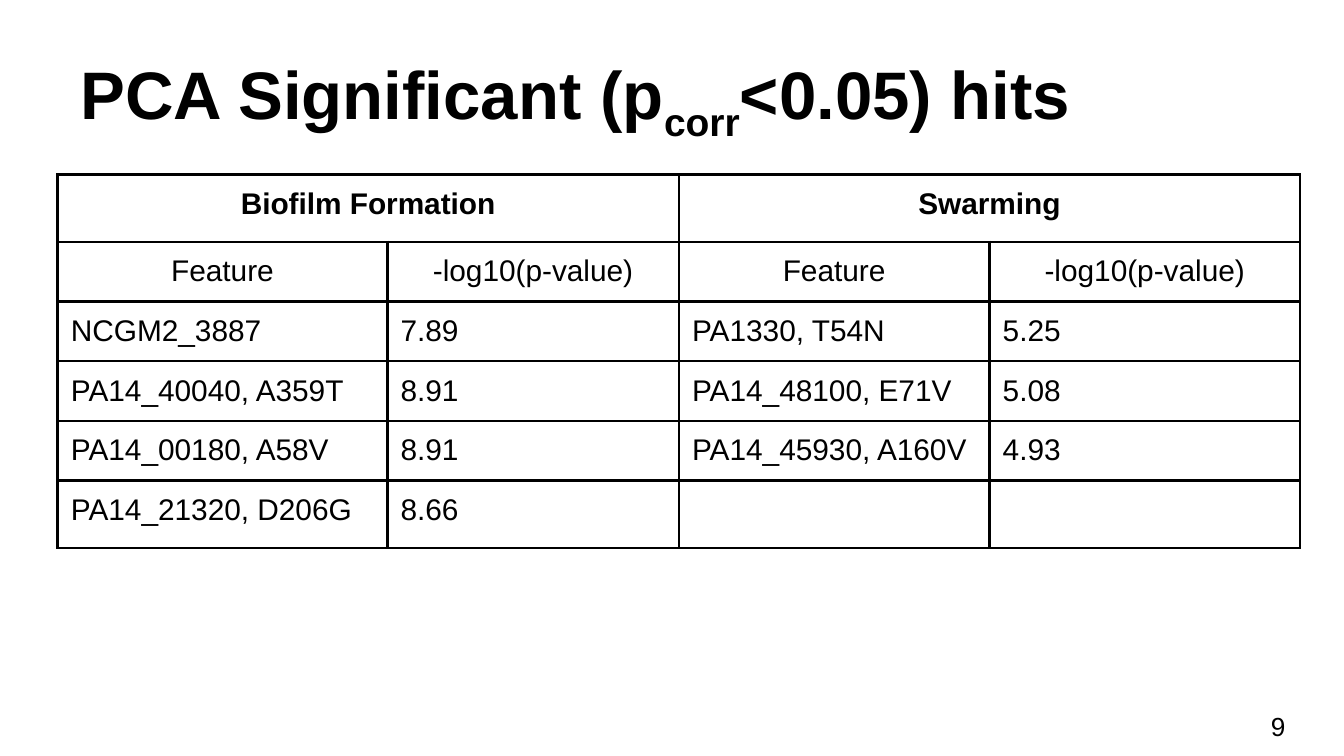
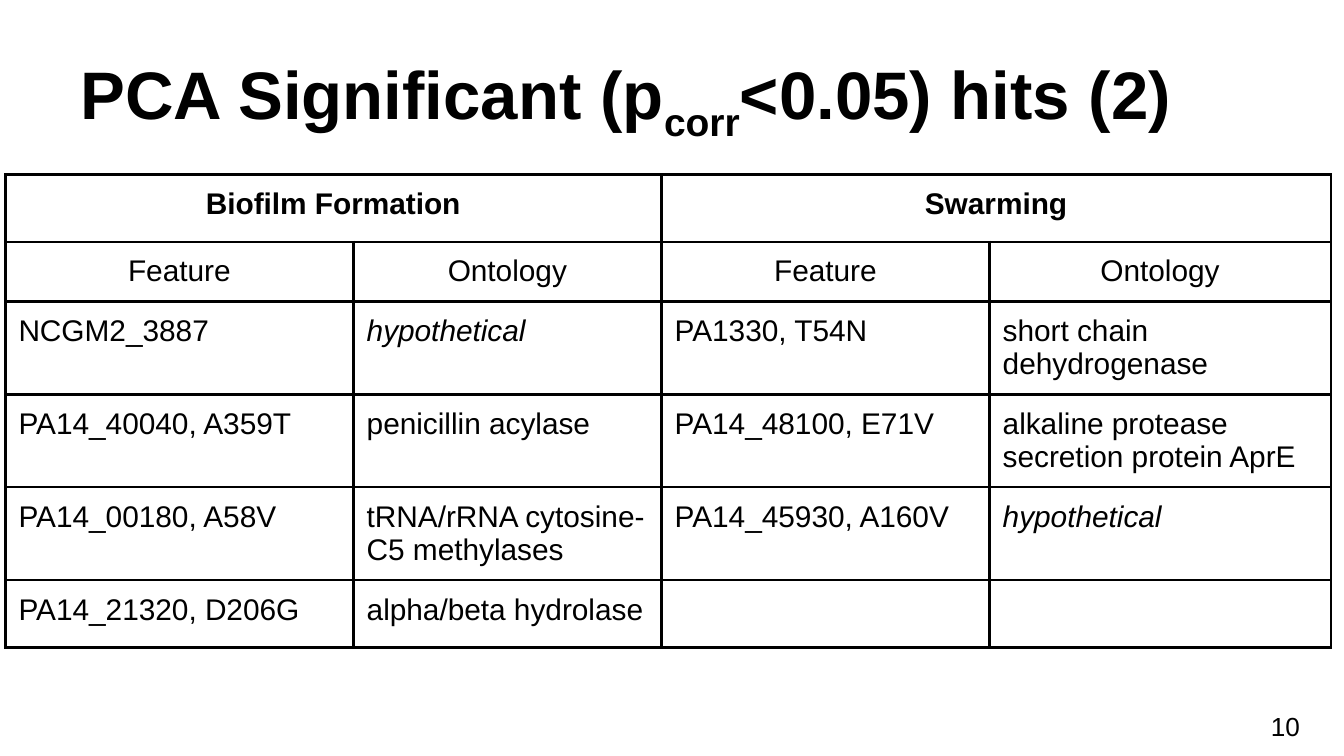
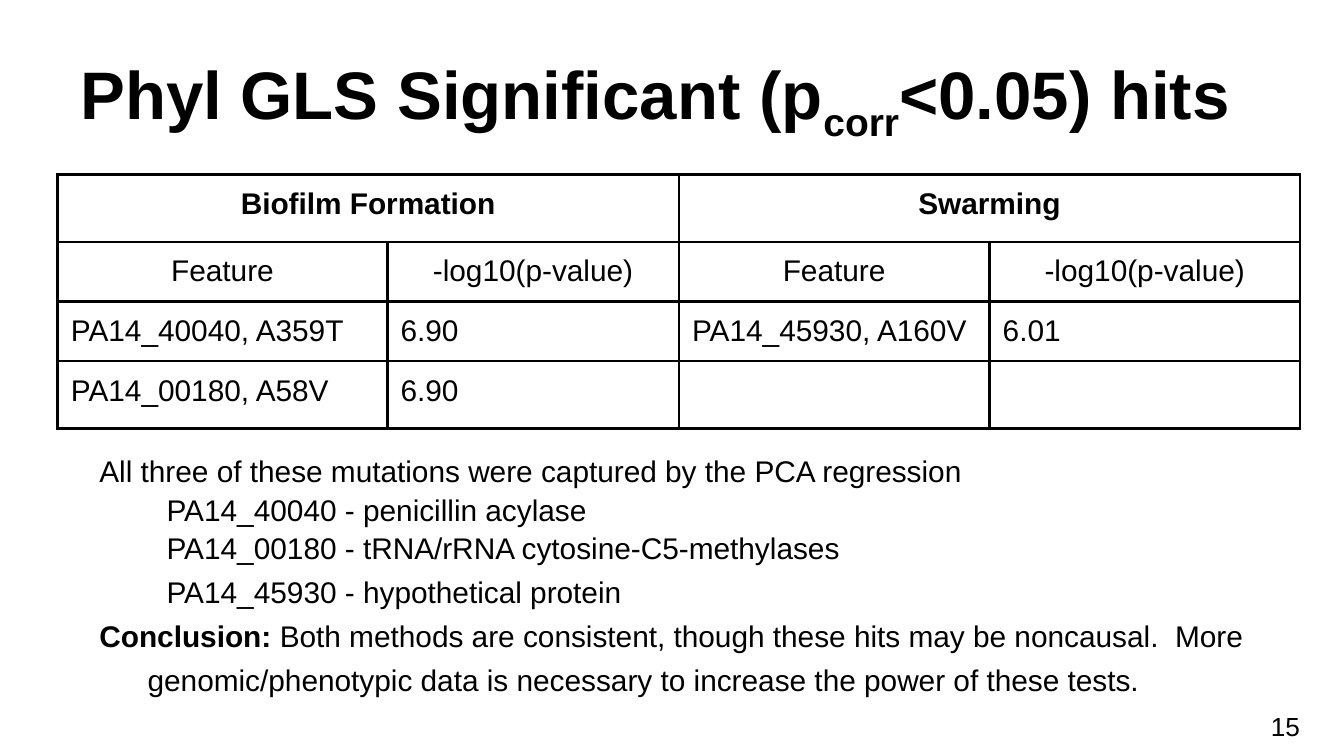
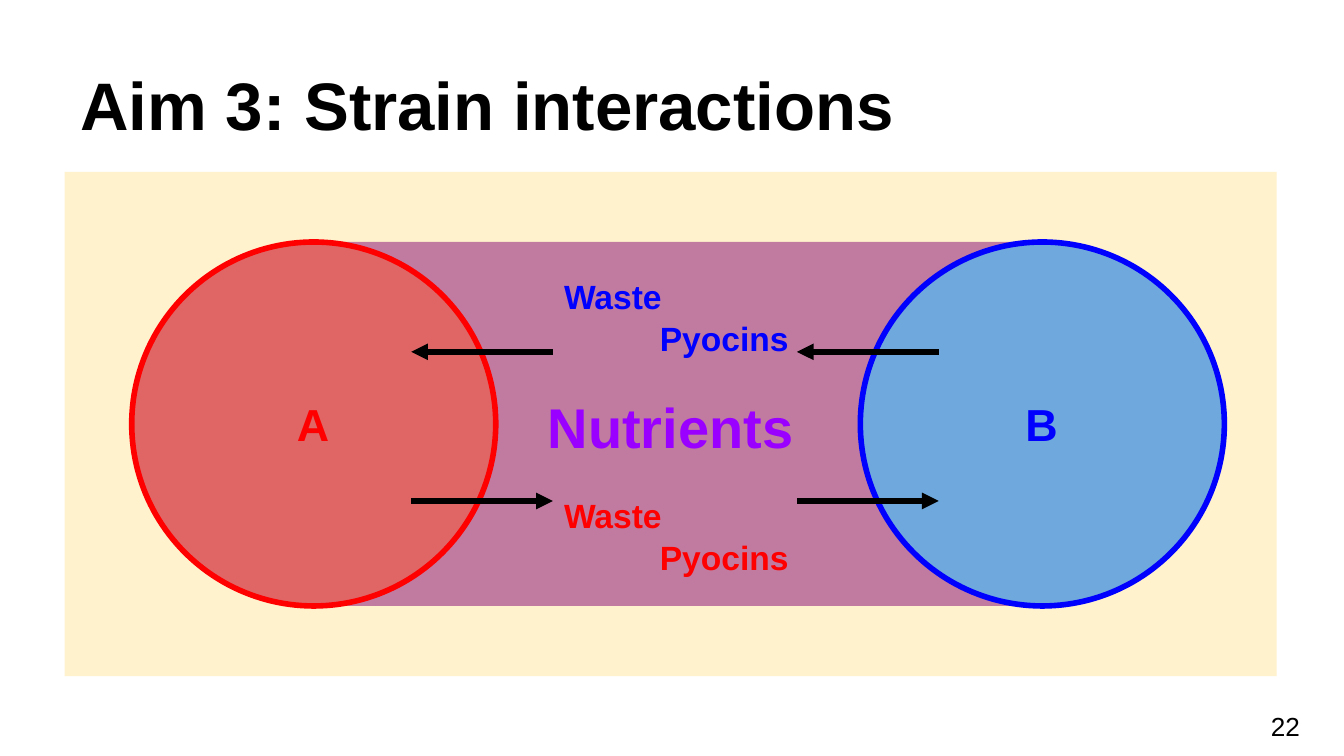
import lxml.etree
import pptx
import pptx.dml.color
import pptx.enum.shapes
import pptx.enum.text
import pptx.oxml.ns
import pptx.util

Cm = pptx.util.Cm
Pt = pptx.util.Pt
qn = pptx.oxml.ns.qn
SHAPES = pptx.enum.shapes.MSO_SHAPE
ALIGN = pptx.enum.text.PP_ALIGN
ANCHOR = pptx.enum.text.MSO_ANCHOR

FONT = "Arial"
BLACK, RED, BLUE, PURPLE = "000000", "FF0000", "0000FF", "9900FF"
CREAM, MAUVE, CORAL, SKY = "FFF2CC", "C27BA0", "E06666", "6FA8DC"
INSET = Cm(0.25)
TITLE_BOX = (1.27, 0.58, 22.86, 2.39)
NUMBER_BOX = (23.77, 13.18, 1.52, 1.09)
BODY_BOX = (1.27, 8.15, 22.86, 5.54)
PANEL_BOX = (1.22, 3.25, 22.91, 9.53)
TABLE_TOP = 3.3
P_VALUE_COLUMNS = (6.23, 5.51, 5.87, 5.87)
ONTOLOGY_COLUMNS = (6.58, 5.82, 6.2, 6.45)
HEADER_HEIGHT, ROW_HEIGHT = 1.27, 1.07
GROUPS = ("Biofilm Formation", "Swarming")
ITALIC_TERM = "hypothetical"

P_VALUES = [
    ("NCGM2_3887", "7.89", "PA1330, T54N", "5.25"),
    ("PA14_40040, A359T", "8.91", "PA14_48100, E71V", "5.08"),
    ("PA14_00180, A58V", "8.91", "PA14_45930, A160V", "4.93"),
    ("PA14_21320, D206G", "8.66", "", ""),
]
ONTOLOGIES = [
    ("NCGM2_3887", ITALIC_TERM, "PA1330, T54N", "short chain dehydrogenase"),
    ("PA14_40040, A359T", "penicillin acylase", "PA14_48100, E71V",
     "alkaline protease secretion protein AprE"),
    ("PA14_00180, A58V", "tRNA/rRNA cytosine-C5 methylases",
     "PA14_45930, A160V", ITALIC_TERM),
    ("PA14_21320, D206G", "alpha/beta hydrolase", "", ""),
]
GLS_VALUES = [
    ("PA14_40040, A359T", "6.90", "PA14_45930, A160V", "6.01"),
    ("PA14_00180, A58V", "6.90", "", ""),
]
FINDINGS = [
    (0, 1.23, [("All three of these mutations were captured by the PCA regression", {})]),
    (1, 1.08, [("PA14_40040 - penicillin acylase", {})]),
    (1, 1.08, [("PA14_00180 - tRNA/rRNA cytosine-C5-methylases", {})]),
    (1, 1.23, [("PA14_45930 - hypothetical protein", {})]),
    (0, 1.23, [
        ("Conclusion: ", {"bold": True}),
        ("Both methods are consistent, though these hits may be noncausal.  More "
         "genomic/phenotypic data is necessary to increase the power of these tests.", {}),
    ]),
]


def color(value):
    """Turn a hex string into a colour."""
    return pptx.dml.color.RGBColor.from_string(value)


def set_all(target, values):
    """Set every attribute in a dict of format values."""
    for name, value in values.items():
        setattr(target, name, value)


def place(shape, box):
    """Move a shape to a box given in centimetres."""
    set_all(shape, dict(zip(("left", "top", "width", "height"), map(Cm, box))))


def add_run(paragraph, text, size, fill=BLACK, subscript=False, **values):
    """Append a formatted run to a paragraph."""
    run = paragraph.add_run()
    run.text = text
    set_all(run.font, {"name": FONT, "size": Pt(size), "bold": False, **values})
    run.font.color.rgb = color(fill)
    if subscript:
        run.font._element.set("baseline", "-25000")


def format_frame(frame, anchor):
    """Give a text frame the common insets and wrapping."""
    set_all(frame, {
        "margin_left": INSET, "margin_right": INSET,
        "margin_top": INSET, "margin_bottom": INSET,
        "word_wrap": True, "vertical_anchor": anchor,
        "auto_size": pptx.enum.text.MSO_AUTO_SIZE.NONE,
    })


def add_label(slide, box, text, size, fill=BLACK, bold=True, align=ALIGN.LEFT):
    """Add a one-line text box centred vertically in its box."""
    label = slide.shapes.add_textbox(*map(Cm, box))
    format_frame(label.text_frame, ANCHOR.MIDDLE)
    paragraph = label.text_frame.paragraphs[0]
    paragraph.alignment = align
    add_run(paragraph, text, size, fill, bold=bold)


def add_slide(presentation, number, title, subscript="", ending=""):
    """Add a slide with its title and page number."""
    slide = presentation.slides.add_slide(presentation.slide_layouts[5])
    place(slide.shapes.title, TITLE_BOX)
    frame = slide.shapes.title.text_frame
    format_frame(frame, ANCHOR.BOTTOM)
    paragraph = frame.paragraphs[0]
    paragraph.alignment = ALIGN.LEFT
    for text, lowered in ((title, False), (subscript, True), (ending, False)):
        if text:
            add_run(paragraph, text, 36, subscript=lowered, bold=True)
    add_label(slide, NUMBER_BOX, str(number), 14, bold=False)
    return slide


def add_borders(cell):
    """Draw a black line on each side of a table cell."""
    properties = cell._tc.get_or_add_tcPr()
    for side in ("a:lnL", "a:lnR", "a:lnT", "a:lnB"):
        line = lxml.etree.SubElement(properties, qn(side), w=str(Pt(1.5)))
        fill = lxml.etree.SubElement(line, qn("a:solidFill"))
        lxml.etree.SubElement(fill, qn("a:srgbClr"), val=BLACK)


def add_hits_table(slide, left, widths, measure, hits):
    """Add a table of hits under its two group headings."""
    rows = [(GROUPS[0], "", GROUPS[1], ""), ("Feature", measure) * 2, *hits]
    heights = [HEADER_HEIGHT] + [ROW_HEIGHT] * (len(rows) - 1)
    box = (left, TABLE_TOP, sum(widths), sum(heights))
    table = slide.shapes.add_table(len(rows), len(widths), *map(Cm, box)).table
    set_all(table, {"first_row": False, "horz_banding": False})
    for column, width in zip(table.columns, widths):
        column.width = Cm(width)
    for row, height in zip(table.rows, heights):
        row.height = Cm(height)
    for column in (0, 2):
        table.cell(0, column).merge(table.cell(0, column + 1))
    for row_index, row in enumerate(rows):
        for column, text in enumerate(row):
            cell = table.cell(row_index, column)
            set_all(cell, dict.fromkeys(
                ("margin_left", "margin_right", "margin_top", "margin_bottom"), INSET))
            add_borders(cell)
            cell.fill.background()
            if text:
                paragraph = cell.text_frame.paragraphs[0]
                paragraph.alignment = ALIGN.CENTER if row_index < 2 else ALIGN.LEFT
                add_run(paragraph, text, 16, bold=row_index == 0,
                        italic=text == ITALIC_TERM)


def add_findings(slide, box):
    """Add the indented findings and the conclusion."""
    frame = slide.shapes.add_textbox(*map(Cm, box)).text_frame
    format_frame(frame, ANCHOR.TOP)
    for index, (level, spacing, runs) in enumerate(FINDINGS):
        paragraph = frame.add_paragraph() if index else frame.paragraphs[0]
        set_all(paragraph, {"level": level, "line_spacing": spacing})
        properties = paragraph._p.get_or_add_pPr()
        properties.set("marL", str(Cm(1.27 * (level + 1))))
        properties.set("indent", str(Cm(-0.91)))
        for text, values in runs:
            add_run(paragraph, text, 16, **values)


def add_block(slide, kind, box, fill, outline=None):
    """Add a filled shape with an optional outline."""
    shape = slide.shapes.add_shape(kind, *map(Cm, box))
    shape.shadow.inherit = False
    shape.fill.solid()
    shape.fill.fore_color.rgb = color(fill)
    if outline:
        shape.line.color.rgb = color(outline)
        shape.line.width = Pt(3)
    else:
        shape.line.fill.background()


def add_arrow(slide, start, end, y):
    """Add a horizontal arrow with a triangular head."""
    arrow = slide.shapes.add_connector(
        pptx.enum.shapes.MSO_CONNECTOR.STRAIGHT, *map(Cm, (start, y, end, y)))
    arrow.line.color.rgb = color(BLACK)
    arrow.line.width = Pt(3)
    lxml.etree.SubElement(arrow.line._get_or_add_ln(), qn("a:tailEnd"), type="triangle")
    lxml.etree.SubElement(arrow._element.spPr, qn("a:effectLst"))


def add_interactions(slide, box):
    """Draw two strains exchanging products through shared nutrients."""
    left, top, width, height = box
    diameter = 6.88
    circle_top = top + (height - diameter) / 2
    strains = (("A", left + 1.27, CORAL, RED), ("B", left + 15.04, SKY, BLUE))
    centers = [x + diameter / 2 for _, x, _, _ in strains]
    add_block(slide, SHAPES.RECTANGLE, box, CREAM)
    add_block(slide, SHAPES.RECTANGLE,
              (centers[0] + 0.09, circle_top, centers[1] - centers[0] - 0.09, diameter), MAUVE)
    for name, x, fill, outline in strains:
        add_block(slide, SHAPES.OVAL, (x, circle_top, diameter, diameter), fill, outline)
        add_label(slide, (x + 2.87, top + 4.14, 1.14, 1.24), name, 24, outline)
    for start in (left + 6.55, left + 13.84):
        end = start + 2.68
        add_arrow(slide, start, end, top + 6.22)
        add_arrow(slide, end, start, top + 3.4)
    for y, fill in ((top + 1.73, BLUE), (top + 5.87, RED)):
        add_label(slide, (left + 9.19, y, 2.69, 1.24), "Waste", 18, fill)
        add_label(slide, (left + 11, y + 0.8, 3.02, 1.24), "Pyocins", 18, fill)
    add_label(slide, (left + 8.79, top + 4.19, 5.33, 1.24), "Nutrients", 30, PURPLE,
              align=ALIGN.CENTER)


def main():
    """Build the four slides and save them."""
    presentation = pptx.Presentation()
    set_all(presentation, {"slide_width": Cm(25.4), "slide_height": Cm(14.29)})
    slide = add_slide(presentation, 9, "PCA Significant (p", "corr", "<0.05) hits")
    add_hits_table(slide, 1.09, P_VALUE_COLUMNS, "-log10(p-value)", P_VALUES)
    slide = add_slide(presentation, 10, "PCA Significant (p", "corr", "<0.05) hits (2)")
    add_hits_table(slide, 0.1, ONTOLOGY_COLUMNS, "Ontology", ONTOLOGIES)
    slide = add_slide(presentation, 15, "Phyl GLS Significant (p", "corr", "<0.05) hits")
    add_hits_table(slide, 1.09, P_VALUE_COLUMNS, "-log10(p-value)", GLS_VALUES)
    add_findings(slide, BODY_BOX)
    slide = add_slide(presentation, 22, "Aim 3: Strain interactions")
    add_interactions(slide, PANEL_BOX)
    presentation.save("out.pptx")


if __name__ == "__main__":
    main()
